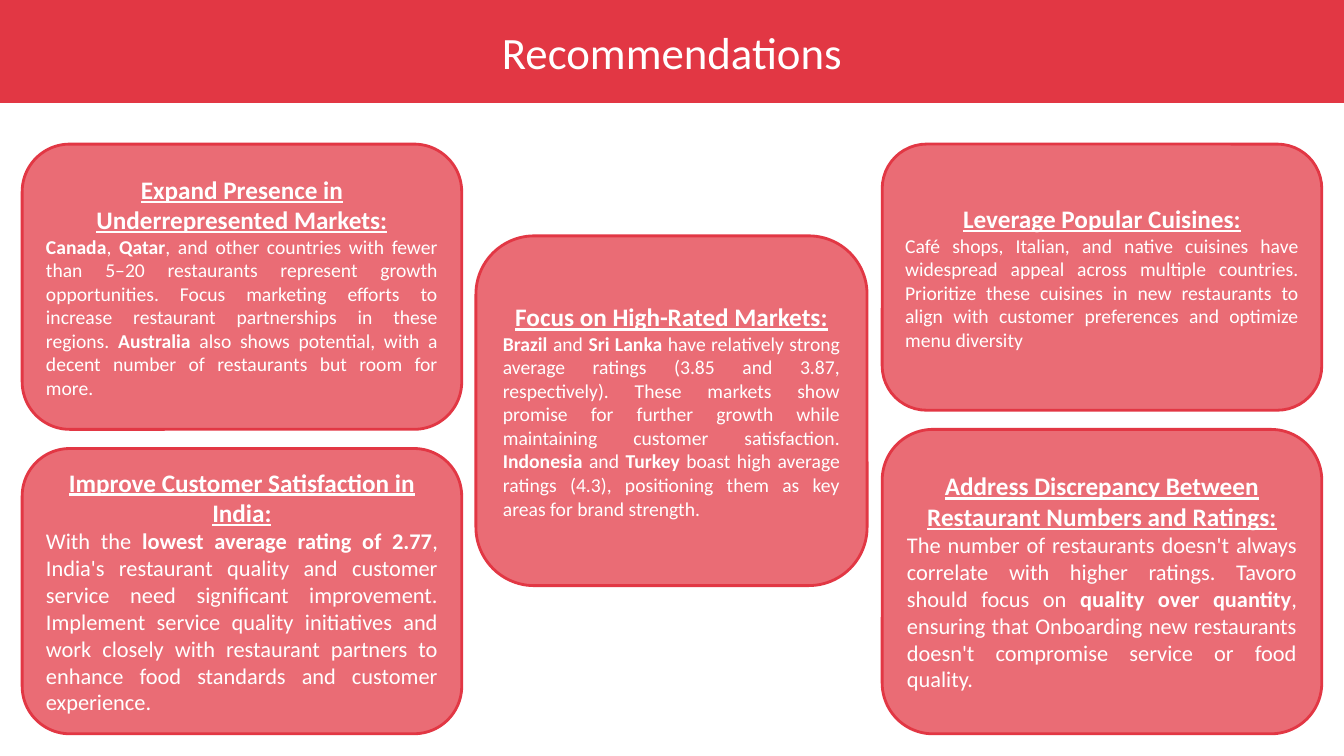
from pptx import Presentation
from pptx.dml.color import RGBColor
from pptx.enum.shapes import MSO_SHAPE
from pptx.enum.text import MSO_ANCHOR, MSO_AUTO_SIZE, PP_ALIGN
from pptx.util import Inches, Pt

RED = "E23744"
PINK = "EA6C75"
WHITE = "FFFFFF"
SIDE_WIDTH = 4.36
LEFT_COLUMN, MIDDLE_COLUMN, RIGHT_COLUMN = 0.22, 4.72, 8.75

# Left, top, width, height, body size, heading, body (** marks bold)
RECOMMENDATIONS = [
    (LEFT_COLUMN, 1.43, SIDE_WIDTH, 2.83, 14,
     "Expand Presence in Underrepresented Markets:",
     "**Canada**, **Qatar**, and other countries with fewer than 5–20 restaurants "
     "represent growth opportunities. Focus marketing efforts to increase restaurant "
     "partnerships in these regions. **Australia** also shows potential, with a decent "
     "number of restaurants but room for more."),
    (LEFT_COLUMN, 4.45, SIDE_WIDTH, 2.83, 16,
     "Improve Customer Satisfaction in India:",
     "With the **lowest average rating of 2.77**, India's restaurant quality and "
     "customer service need significant improvement. Implement service quality "
     "initiatives and work closely with restaurant partners to enhance food standards "
     "and customer experience."),
    (RIGHT_COLUMN, 1.43, SIDE_WIDTH, 2.64, 14,
     "Leverage Popular Cuisines:",
     "Café shops, Italian, and native cuisines have widespread appeal across multiple "
     "countries. Prioritize these cuisines in new restaurants to align with customer "
     "preferences and optimize menu diversity"),
    (RIGHT_COLUMN, 4.26, SIDE_WIDTH, 3.02, 16,
     "Address Discrepancy Between Restaurant Numbers and Ratings:",
     "The number of restaurants doesn't always correlate with higher ratings. Tavoro "
     "should focus on **quality over quantity**, ensuring that Onboarding new "
     "restaurants doesn't compromise service or food quality."),
    (MIDDLE_COLUMN, 2.34, 3.88, 3.47, 14,
     "Focus on High-Rated Markets:",
     "**Brazil** and **Sri Lanka **have relatively strong average ratings (3.85 and "
     "3.87, respectively). These markets show promise for further growth while "
     "maintaining customer satisfaction. **Indonesia** and **Turkey** boast high "
     "average ratings (4.3), positioning them as key areas for brand strength."),
]


def rgb(color):
    return RGBColor.from_string(color)


def fill_solid(shape, color):
    shape.fill.solid()
    shape.fill.fore_color.rgb = rgb(color)


def format_paragraph(paragraph, size, alignment):
    paragraph.alignment = alignment
    paragraph.font.name = "Calibri"
    paragraph.font.size = Pt(size)
    paragraph.font.color.rgb = rgb(WHITE)


def add_marked_text(paragraph, text):
    for index, part in enumerate(text.split("**")):
        if part:
            run = paragraph.add_run()
            run.text = part
            if index % 2:
                run.font.bold = True


def add_banner(slide, text, width):
    banner = slide.shapes.title
    banner.left, banner.top = Inches(0), Inches(0)
    banner.width, banner.height = width, Inches(1.02)
    fill_solid(banner, RED)
    frame = banner.text_frame
    frame.text = text
    frame.auto_size = MSO_AUTO_SIZE.NONE
    frame.vertical_anchor = MSO_ANCHOR.MIDDLE
    format_paragraph(frame.paragraphs[0], 32, PP_ALIGN.CENTER)


def add_card(slide, left, top, width, height, body_size, heading_text, body_text):
    card = slide.shapes.add_shape(
        MSO_SHAPE.ROUNDED_RECTANGLE,
        Inches(left), Inches(top), Inches(width), Inches(height))
    card.shadow.inherit = False
    fill_solid(card, PINK)
    card.line.color.rgb = rgb(RED)
    card.line.width = Pt(2)
    frame = card.text_frame
    frame.word_wrap = True
    frame.vertical_anchor = MSO_ANCHOR.MIDDLE

    heading = frame.paragraphs[0]
    heading.text = heading_text
    format_paragraph(heading, 18, PP_ALIGN.CENTER)
    heading.font.bold = True
    heading.font.underline = True

    body = frame.add_paragraph()
    add_marked_text(body, body_text)
    format_paragraph(body, body_size, PP_ALIGN.JUSTIFY)


def main():
    presentation = Presentation()
    presentation.slide_width = Inches(13.33)
    presentation.slide_height = Inches(7.5)
    title_only = presentation.slide_layouts[5]
    slide = presentation.slides.add_slide(title_only)

    # Title banner
    add_banner(slide, "Recommendations", presentation.slide_width)

    # Recommendation cards
    for recommendation in RECOMMENDATIONS:
        add_card(slide, *recommendation)

    presentation.save("out.pptx")


if __name__ == "__main__":
    main()
